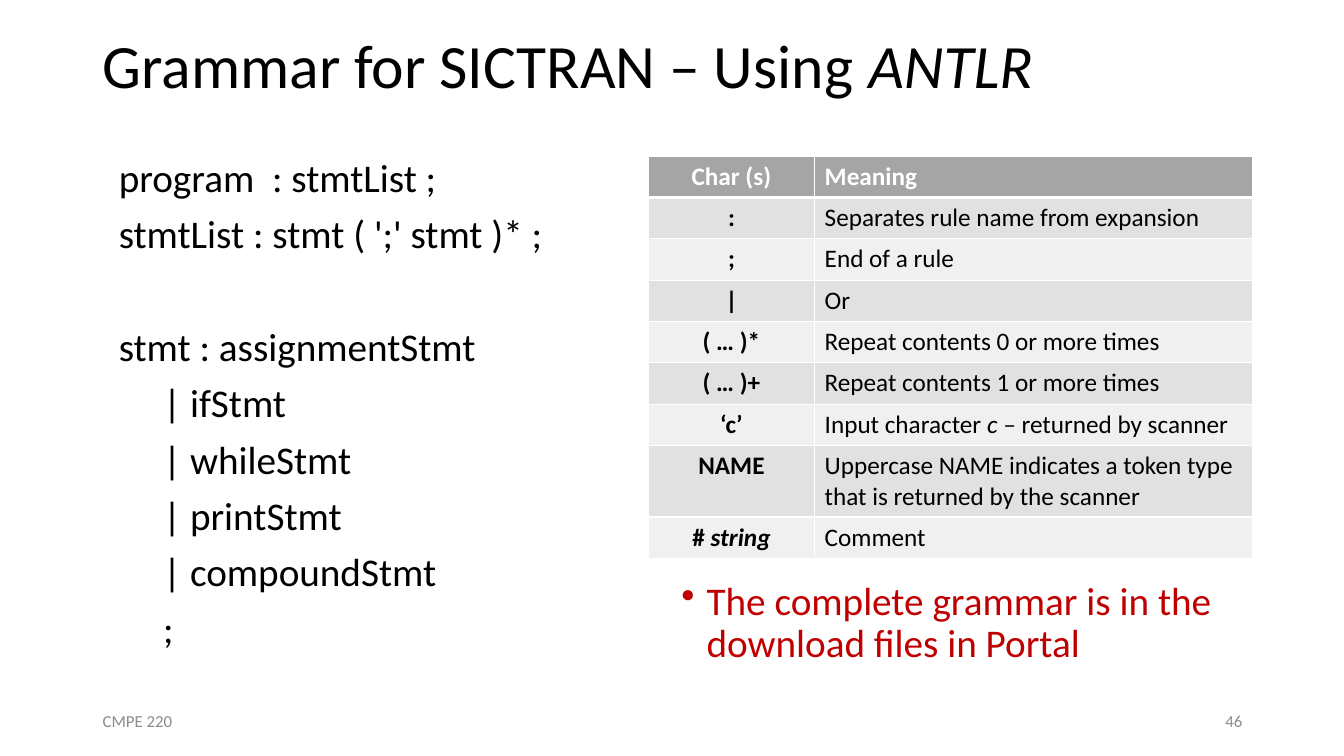
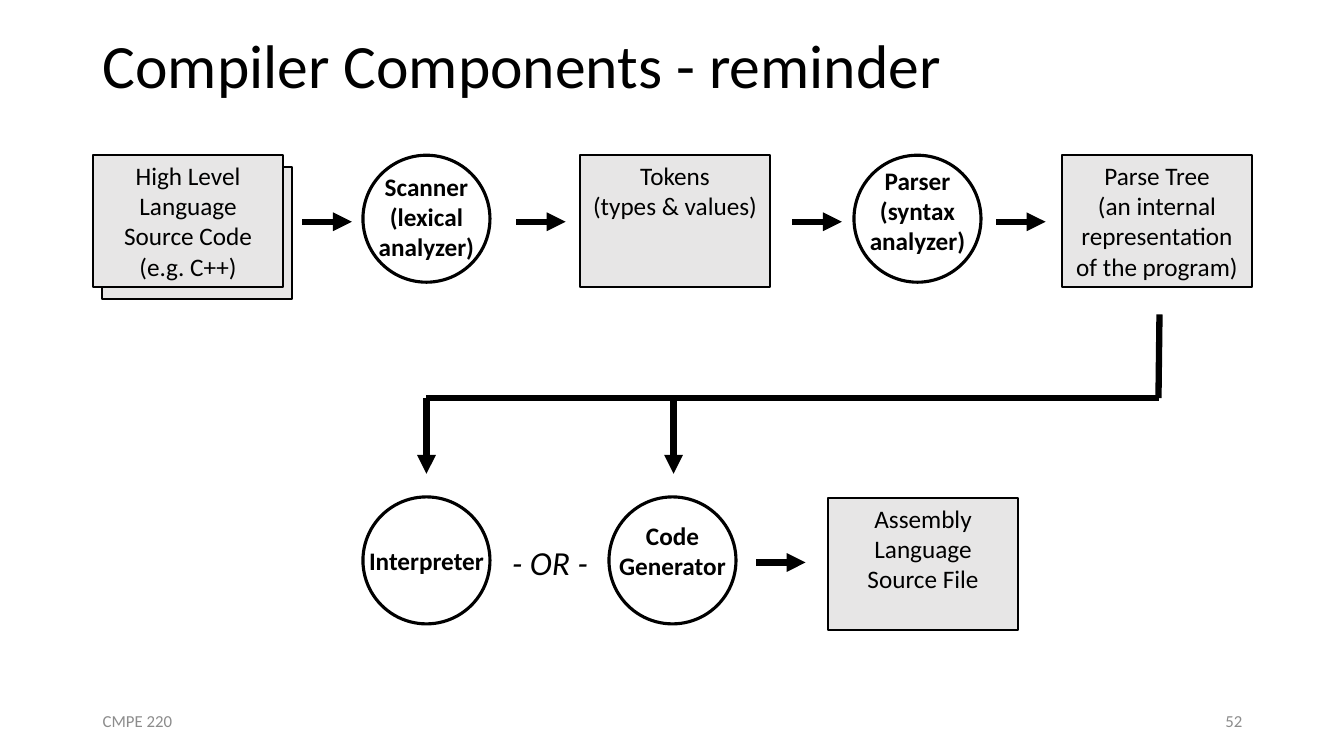
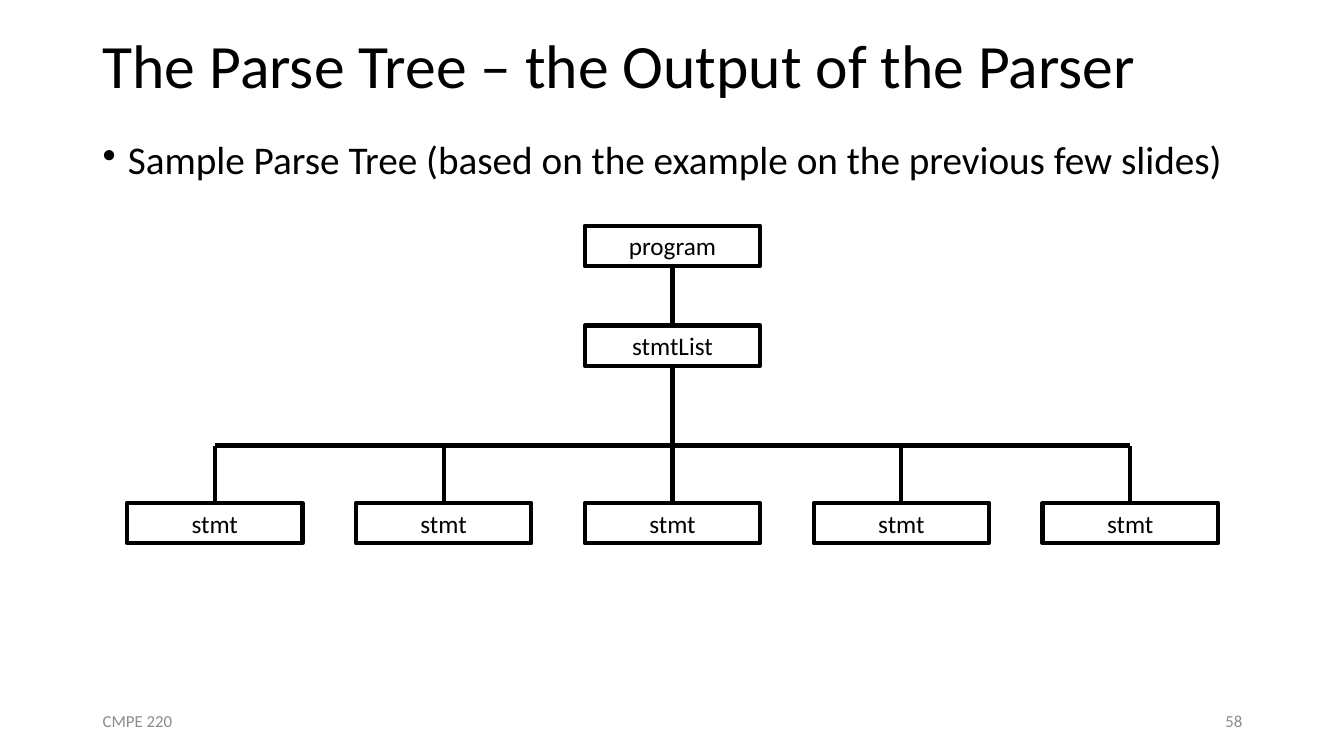
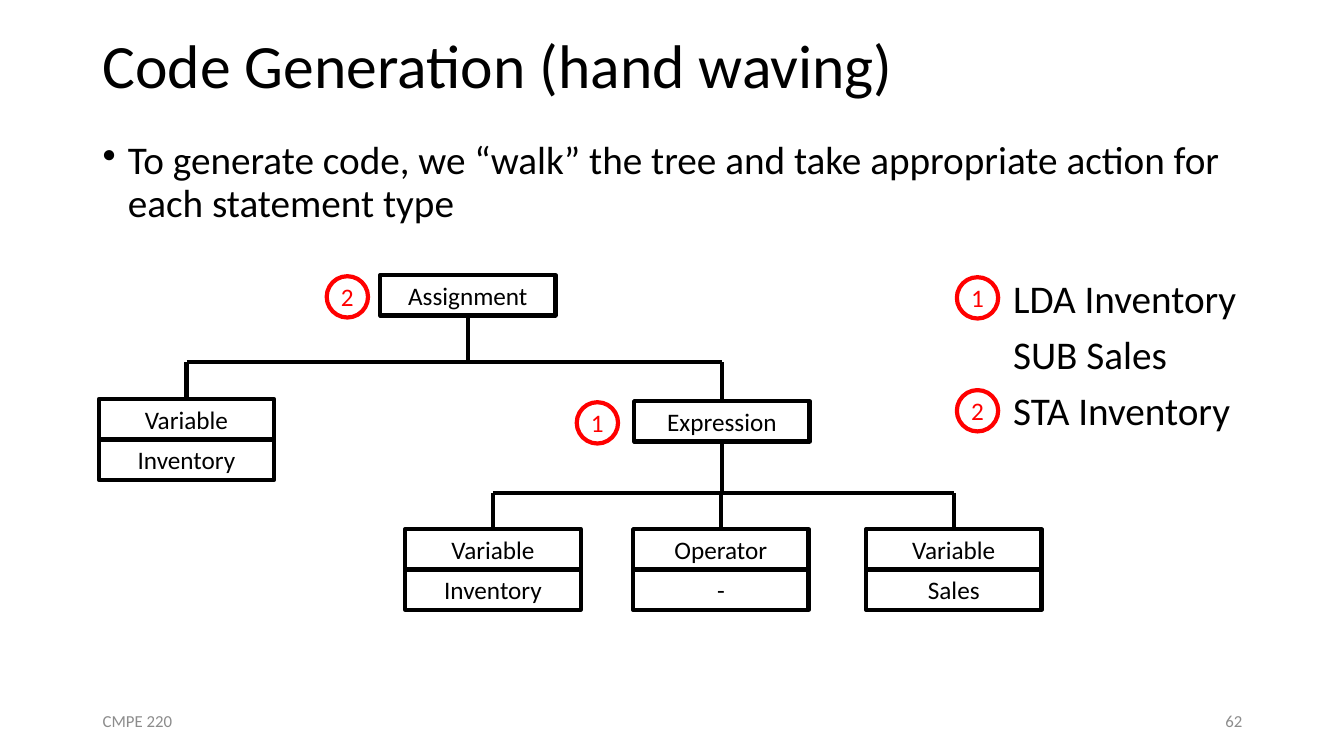
from lxml.etree import SubElement
from pptx import Presentation
from pptx.dml.color import RGBColor
from pptx.enum.shapes import MSO_CONNECTOR, MSO_SHAPE
from pptx.enum.text import MSO_ANCHOR, PP_ALIGN
from pptx.oxml.ns import qn
from pptx.util import Inches, Pt

COLORS = {
    "ink": "000000", "paper": "FFFFFF", "foot": "8C8C8C", "note": "C00000",
    "mark": "FF0000", "sheet": "E7E6E6", "head": "A5A5A5",
    "odd": "E1E1E1", "even": "F0F0F0",
}
FONT = "Calibri"
BODY = {"size": 28, "lead": 0.9, "before": 10}
BULLET = {**BODY, "left": 0.25, "bullet": "•"}
MID = {"align": PP_ALIGN.CENTER}
LEFT, WIDE = 0.92, 11.5
NODE_W, NODE_H = 1.74, 0.4
SHEET_W, SHEET_H = 1.89, 1.31
DISK = 1.26
BADGE = 0.41


def rgb(name):
    return RGBColor.from_string(COLORS[name])


def write(frame, text, size=18, color="ink", bold=False, align=None,
          lead=None, before=0, left=0, bullet=None):
    """Append one paragraph per line; underscores enclose italics."""
    for line in text.split("\n"):
        para = frame.paragraphs[-1]
        if para.runs:
            para = frame.add_paragraph()
        para.alignment = align
        para.line_spacing = lead
        para.space_before = Pt(before)
        props = para._p.get_or_add_pPr()
        if left:
            props.set("marL", str(Inches(left)))
        if bullet:
            props.set("indent", str(-Inches(left)))
            SubElement(props, qn("a:buChar"), char=bullet)
        for i, part in enumerate(line.split("_")):
            if part:
                run = para.add_run()
                run.text = part
                font = run.font
                font.name, font.size, font.bold = FONT, Pt(size), bold
                font.italic = i % 2 == 1
                font.color.rgb = rgb(color)


class Deck:
    def __init__(self):
        self.file = Presentation()
        self.file.slide_width = Inches(13.33)
        self.file.slide_height = Inches(7.5)
        self.slide = None

    def page(self, title, number):
        """Start a slide with its title and footers."""
        self.slide = self.file.slides.add_slide(self.file.slide_layouts[6])
        mid = MSO_ANCHOR.MIDDLE
        self.text(LEFT, 0, WIDE, 1.35, title, anchor=mid, size=44, lead=0.9)
        foot = {"anchor": mid, "size": 12, "color": "foot"}
        self.text(LEFT, 6.95, 3, 0.4, "CMPE 220", **foot)
        self.text(9.42, 6.95, 3, 0.4, str(number), align=PP_ALIGN.RIGHT, **foot)

    def text(self, x, y, w, h, text, anchor=MSO_ANCHOR.TOP, **style):
        box = self.slide.shapes.add_textbox(
            Inches(x), Inches(y), Inches(w), Inches(h))
        frame = box.text_frame
        frame.word_wrap = True
        frame.vertical_anchor = anchor
        write(frame, text, **style)
        return frame

    def shape(self, kind, x, y, w, h, width, fill=None, line="ink"):
        item = self.slide.shapes.add_shape(
            kind, Inches(x), Inches(y), Inches(w), Inches(h))
        item.shadow.inherit = False
        if fill:
            item.fill.solid()
            item.fill.fore_color.rgb = rgb(fill)
        else:
            item.fill.background()
        item.line.color.rgb = rgb(line)
        item.line.width = Pt(width)
        item.text_frame.vertical_anchor = MSO_ANCHOR.TOP
        return item

    def sheet(self, x, y, text=""):
        item = self.shape(MSO_SHAPE.RECTANGLE, x, y, SHEET_W, SHEET_H, 1.5, "sheet")
        write(item.text_frame, text, **MID)

    def disk(self, x, y, text, drop):
        """Circle whose label starts the given drop below its top."""
        self.shape(MSO_SHAPE.OVAL, x, y, DISK, DISK, 2.25)
        self.text(x - 0.07, y + drop, DISK + 0.14, 0.4, text, bold=True, **MID)

    def node(self, x, y, text):
        item = self.shape(MSO_SHAPE.RECTANGLE, x, y, NODE_W, NODE_H, 3)
        write(item.text_frame, text, **MID)
        return item

    def pair(self, x, y, kind, value):
        """Two stacked nodes; gives back the upper one."""
        self.node(x, y + NODE_H, value)
        return self.node(x, y, kind)

    def badge(self, x, y, text):
        item = self.shape(MSO_SHAPE.OVAL, x, y, BADGE, BADGE, 3, line="mark")
        frame = item.text_frame
        frame.margin_left = frame.margin_right = 0
        frame.vertical_anchor = MSO_ANCHOR.MIDDLE
        write(frame, text, color="mark", **MID)

    def line(self, x1, y1, x2, y2, width=4.5, arrow=False):
        item = self.slide.shapes.add_connector(
            MSO_CONNECTOR.STRAIGHT, Inches(x1), Inches(y1), Inches(x2), Inches(y2))
        item.line.color.rgb = rgb("ink")
        item.line.width = Pt(width)
        props = item.element.spPr
        if arrow:
            SubElement(props.find(qn("a:ln")), qn("a:tailEnd"), type="triangle")
        SubElement(props, qn("a:effectLst"))
        return item

    def stem(self, node, y, site):
        """Upright line from the node's bottom (2) or top (0) to height y."""
        x = (node.left + node.width / 2) / Inches(1)
        self.line(x, y, x, y, 3).begin_connect(node, site)
        return x

    def tree(self, node, kids, y):
        """Join a node to its kids through a level bar at height y."""
        self.stem(node, y, 2)
        ends = [self.stem(kid, y, 0) for kid in kids]
        self.line(ends[0], y, ends[-1], y, 3)

    def table(self, x, y, cols, rows, heights):
        grid = self.slide.shapes.add_table(
            len(rows), len(cols), Inches(x), Inches(y),
            Inches(sum(cols)), Inches(sum(heights))).table
        for col, w in zip(grid.columns, cols):
            col.width = Inches(w)
        for r, row in enumerate(rows):
            grid.rows[r].height = Inches(heights[r])
            fill = ("even", "odd")[r % 2] if r else "head"
            for c, text in enumerate(row):
                cell = grid.cell(r, c)
                self.edge(cell, 1 if r else 3)
                cell.fill.solid()
                cell.fill.fore_color.rgb = rgb(fill)
                write(cell.text_frame, text, bold=r == 0 or c == 0,
                      color="ink" if r else "paper",
                      align=None if c else PP_ALIGN.CENTER)

    def edge(self, cell, base):
        """White cell borders, the lower one of width base."""
        props = cell._tc.get_or_add_tcPr()
        for side, width in zip("LRTB", (1, 1, 1, base)):
            ln = SubElement(props, qn("a:ln" + side), w=str(Pt(width)))
            fill = SubElement(ln, qn("a:solidFill"))
            SubElement(fill, qn("a:srgbClr"), val=COLORS["paper"])


def grammar(deck):
    deck.page("Grammar for SICTRAN – Using _ANTLR_", 46)
    rules = deck.text(1.08, 1.52, 5.3, 5.28,
                      "program  : stmtList ;\nstmtList : stmt ( ';' stmt )* ;", **BODY)
    write(rules, "stmt : assignmentStmt", **{**BODY, "before": 50.5})
    write(rules, "| ifStmt\n| whileStmt\n| printStmt\n| compoundStmt\n;",
          left=0.44, **BODY)
    rows = [
        ("Char (s)", "Meaning"),
        (":", "Separates rule name from expansion"),
        (";", "End of a rule"),
        ("|", "Or"),
        ("( … )*", "Repeat contents 0 or more times"),
        ("( … )+", "Repeat contents 1 or more times"),
        ("‘c’", "Input character _c – _returned by scanner"),
        ("NAME", "Uppercase NAME indicates a token type "
                 "that is returned by the scanner"),
        ("# _string_", "Comment"),
    ]
    heights = [0.71 if row[0] == "NAME" else 0.41 for row in rows]
    deck.table(6.43, 1.55, (1.65, 4.34), rows, heights)
    deck.text(6.66, 5.72, 5.46, 1.1,
              "The complete grammar is in the download files in Portal",
              color="note", **BULLET)


def parts(deck):
    deck.page("Compiler Components - reminder", 52)
    top, low, bar = 1.54, 4.93, 3.95
    deck.sheet(1.01, 1.66)
    deck.sheet(LEFT, top, "High Level Language Source Code\n(e.g. C++)")
    deck.disk(3.6, top, "Scanner\n(lexical\nanalyzer)", 0.11)
    deck.sheet(5.75, top, "Tokens\n(types & values)")
    deck.disk(8.47, top, "Parser\n(syntax\nanalyzer)", 0.05)
    deck.sheet(10.53, top, "Parse Tree\n(an internal representation of the program)")
    deck.disk(3.6, low, "Interpreter", 0.43)
    deck.text(4.98, 5.33, 1.02, 0.5, "_- OR -_", size=24)
    deck.disk(6.04, low, "Code\nGenerator", 0.18)
    deck.sheet(8.21, 4.94, "Assembly Language Source File")
    for x, y in ((3, 2.2), (5.12, 2.2), (7.86, 2.2), (9.88, 2.2), (7.5, 5.58)):
        deck.line(x, y, x + 0.49, y, arrow=True)
    deck.line(11.5, 3.12, 11.49, bar)
    deck.line(4.23, bar, 11.5, bar)
    for x in (4.23, 6.68):
        deck.line(x, bar, x, 4.7, arrow=True)


def sample(deck):
    deck.page("The Parse Tree – the Output of the Parser", 58)
    deck.text(LEFT, 1.35, WIDE, 0.63,
              "Sample Parse Tree (based on the example on the previous few slides)",
              **BULLET)
    root = deck.node(5.8, 2.24, "program")
    trunk = deck.node(5.8, 3.23, "stmtList")
    link = deck.line(6.67, 2.64, 6.67, 3.23, 3)
    link.begin_connect(root, 2)
    link.end_connect(trunk, 0)
    kids = [deck.node(1.26 + 2.27 * i, 4.99, "stmt") for i in range(5)]
    deck.tree(trunk, kids, 4.42)


def output(deck):
    deck.page("Code Generation (hand waving)", 62)
    deck.text(LEFT, 1.35, WIDE, 1.05,
              "To generate code, we “walk” the tree and take appropriate action "
              "for each statement type", **BULLET)
    deck.text(9.95, 2.72, 2.66, 2.29,
              "LDA Inventory\nSUB Sales\nSTA Inventory", **BODY)
    root = deck.node(3.77, 2.73, "Assignment")
    target = deck.pair(0.98, 3.96, "Variable", "Inventory")
    value = deck.node(6.29, 3.98, "Expression")
    deck.tree(root, (target, value), 3.59)
    terms = ((4.02, "Variable", "Inventory"), (6.28, "Operator", "-"),
             (8.59, "Variable", "Sales"))
    kids = [deck.pair(x, 5.25, kind, name) for x, kind, name in terms]
    deck.tree(value, kids, 4.89)
    for x, y, step in ((9.49, 2.75, "1"), (9.49, 3.87, "2"),
                       (3.24, 2.74, "2"), (5.72, 3.99, "1")):
        deck.badge(x, y, step)


def main():
    deck = Deck()
    for build in (grammar, parts, sample, output):
        build(deck)
    deck.file.save("out.pptx")


if __name__ == "__main__":
    main()
